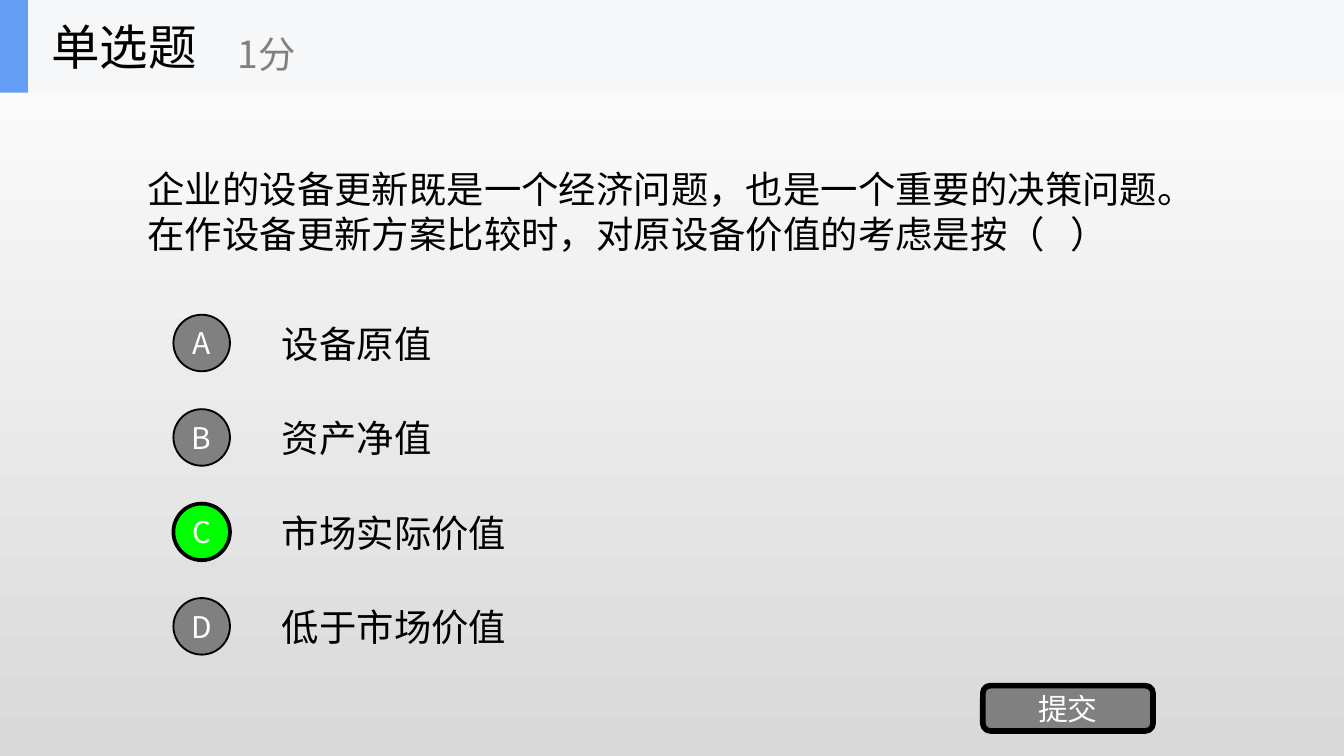
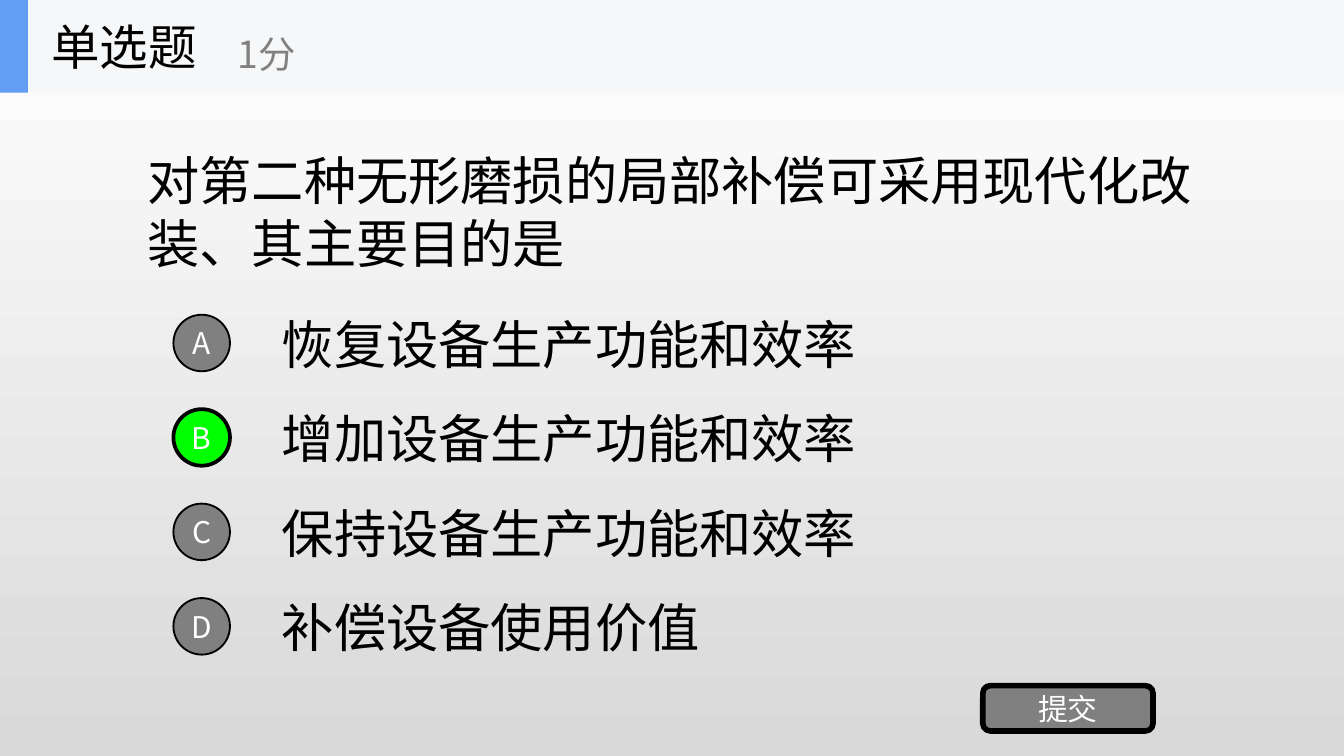
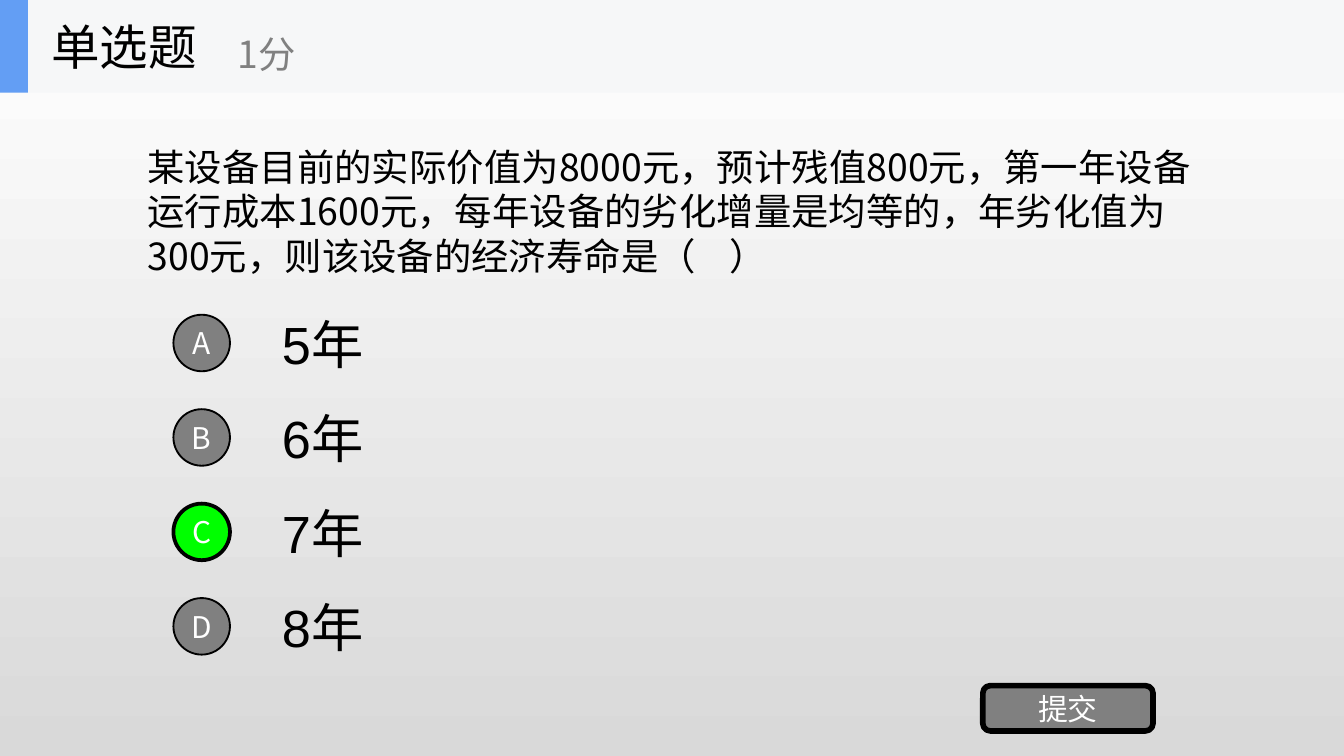
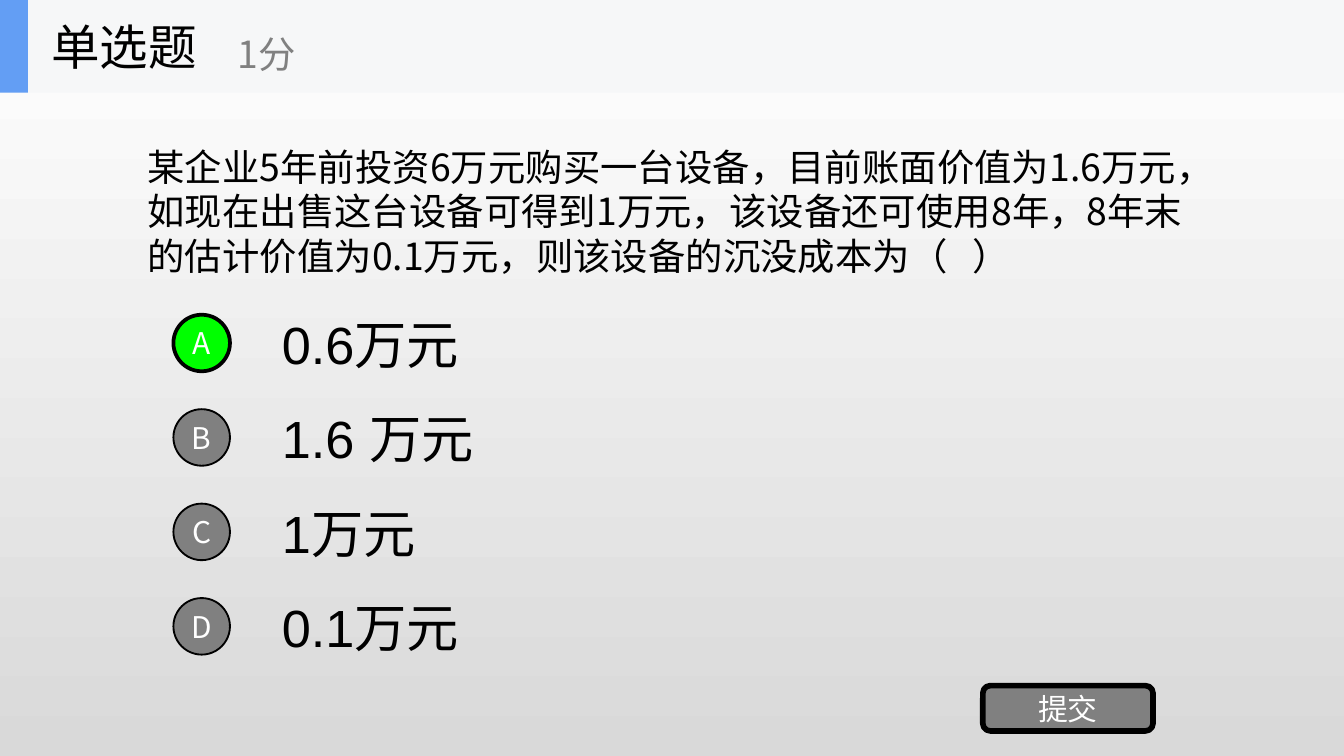
from pptx import Presentation
from pptx.dml.color import RGBColor
from pptx.enum import shapes, text
from pptx.util import Pt

BLACK = RGBColor(0x00, 0x00, 0x00)
WHITE = RGBColor(0xFF, 0xFF, 0xFF)
GRAY = RGBColor(0x80, 0x80, 0x80)
LIGHT_GRAY = RGBColor(0xD9, 0xD9, 0xD9)
GREEN = RGBColor(0x00, 0xFF, 0x00)
BAND = RGBColor(0xF6, 0xF7, 0xF8)
BLUE = RGBColor(0x63, 0x9E, 0xF4)

CJK = "Noto Sans CJK SC"
LATIN = "Arial"

SLIDE_W, SLIDE_H = 720, 405
BAND_H = 49.7
OPTION_TOP, OPTION_H, OPTION_PITCH = 164.9, 38.2, 50.6
MARK_LEFT, MARK_TOP, MARK_SIZE = 92.9, 168.6, 30.3

QUESTIONS = [
    ("企业的设备更新既是一个经济问题，也是一个重要的决策问题。"
     "在作设备更新方案比较时，对原设备价值的考虑是按（   ）", CJK, 20,
     ["设备原值", "资产净值", "市场实际价值", "低于市场价值"], 20, "C"),
    ("对第二种无形磨损的局部补偿可采用现代化改装、其主要目的是", LATIN, 28,
     ["恢复设备生产功能和效率", "增加设备生产功能和效率",
      "保持设备生产功能和效率", "补偿设备使用价值"], 28, "B"),
    ("某设备目前的实际价值为8000元，预计残值800元，第一年设备运行成本1600元，"
     "每年设备的劣化增量是均等的，年劣化值为300元，则该设备的经济寿命是（    ）", CJK, 20,
     ["5年", "6年", "7年", "8年"], 28, "C"),
    ("某企业5年前投资6万元购买一台设备，目前账面价值为1.6万元，"
     "如现在出售这台设备可得到1万元，该设备还可使用8年，"
     "8年末的估计价值为0.1万元，则该设备的沉没成本为（   ）", CJK, 20,
     ["0.6万元", "1.6 万元", "1万元", "0.1万元"], 28, "A"),
]


def set_background(master):
    fill = master.background.fill
    fill.gradient()
    fill.gradient_angle = 270
    for stop, position, color in zip(fill.gradient_stops, (0, 1), (WHITE, LIGHT_GRAY)):
        stop.position = position
        stop.color.rgb = color


def place(sp, left, top, width, height):
    sp.left, sp.top, sp.width, sp.height = Pt(left), Pt(top), Pt(width), Pt(height)


def write(sp, content, font, size, color, align=text.PP_ALIGN.LEFT):
    tf = sp.text_frame
    tf.text = content
    tf.word_wrap = True
    tf.auto_size = text.MSO_AUTO_SIZE.NONE
    tf.vertical_anchor = text.MSO_ANCHOR.MIDDLE
    p = tf.paragraphs[0]
    p.alignment = align
    r = p.runs[0]
    r.font.name, r.font.size, r.font.color.rgb = font, Pt(size), color


def add_text(s, box, content, font, size, color=BLACK):
    sp = s.shapes.add_textbox(*map(Pt, box))
    write(sp, content, font, size, color)


def add_block(s, kind, box, fill, line_width=0):
    sp = s.shapes.add_shape(kind, *map(Pt, box))
    sp.shadow.inherit = False
    sp.fill.solid()
    sp.fill.fore_color.rgb = fill
    if line_width:
        sp.line.color.rgb = BLACK
        sp.line.width = Pt(line_width)
    else:
        sp.line.fill.background()
    return sp


def add_button(s, kind, box, label, fill, line_width):
    sp = add_block(s, kind, box, fill, line_width)
    tf = sp.text_frame
    tf.margin_left = tf.margin_right = tf.margin_top = tf.margin_bottom = 0
    write(sp, label, CJK, 16, WHITE, text.PP_ALIGN.CENTER)


def add_header(s):
    rect = shapes.MSO_SHAPE.RECTANGLE
    add_block(s, rect, (0, 0, SLIDE_W, BAND_H), BAND)
    add_block(s, rect, (0, 0, 15, BAND_H), BLUE)
    title = s.shapes.title
    place(title, 20.2, 0, 150, BAND_H)
    write(title, "单选题", CJK, 26, BLACK)
    title._element.getparent().append(title._element)
    add_text(s, (120.2, 8.8, 180, 40.3), "1分", CJK, 20, GRAY)


def add_options(s, options, size, answer):
    for i, (letter, option) in enumerate(zip("ABCD", options)):
        offset = i * OPTION_PITCH
        add_text(s, (144, OPTION_TOP + offset, 504, OPTION_H), option, LATIN, size)
        fill, line_width = (GREEN, 2) if letter == answer else (GRAY, 1)
        add_button(s, shapes.MSO_SHAPE.OVAL,
                   (MARK_LEFT, MARK_TOP + offset, MARK_SIZE, MARK_SIZE),
                   letter, fill, line_width)


def add_question(prs, question, font, size, options, option_size, answer):
    s = prs.slides.add_slide(prs.slide_layouts.get_by_name("Title Only"))
    add_text(s, (72, BAND_H, 576, 126.6), question, font, size)
    add_options(s, options, option_size, answer)
    add_button(s, shapes.MSO_SHAPE.ROUNDED_RECTANGLE,
               (526.5, 367.3, 91.2, 24.3), "提交", GRAY, 3)
    add_header(s)


def main():
    prs = Presentation()
    prs.slide_width, prs.slide_height = Pt(SLIDE_W), Pt(SLIDE_H)
    set_background(prs.slide_master)
    for question in QUESTIONS:
        add_question(prs, *question)
    prs.save("out.pptx")


if __name__ == "__main__":
    main()
